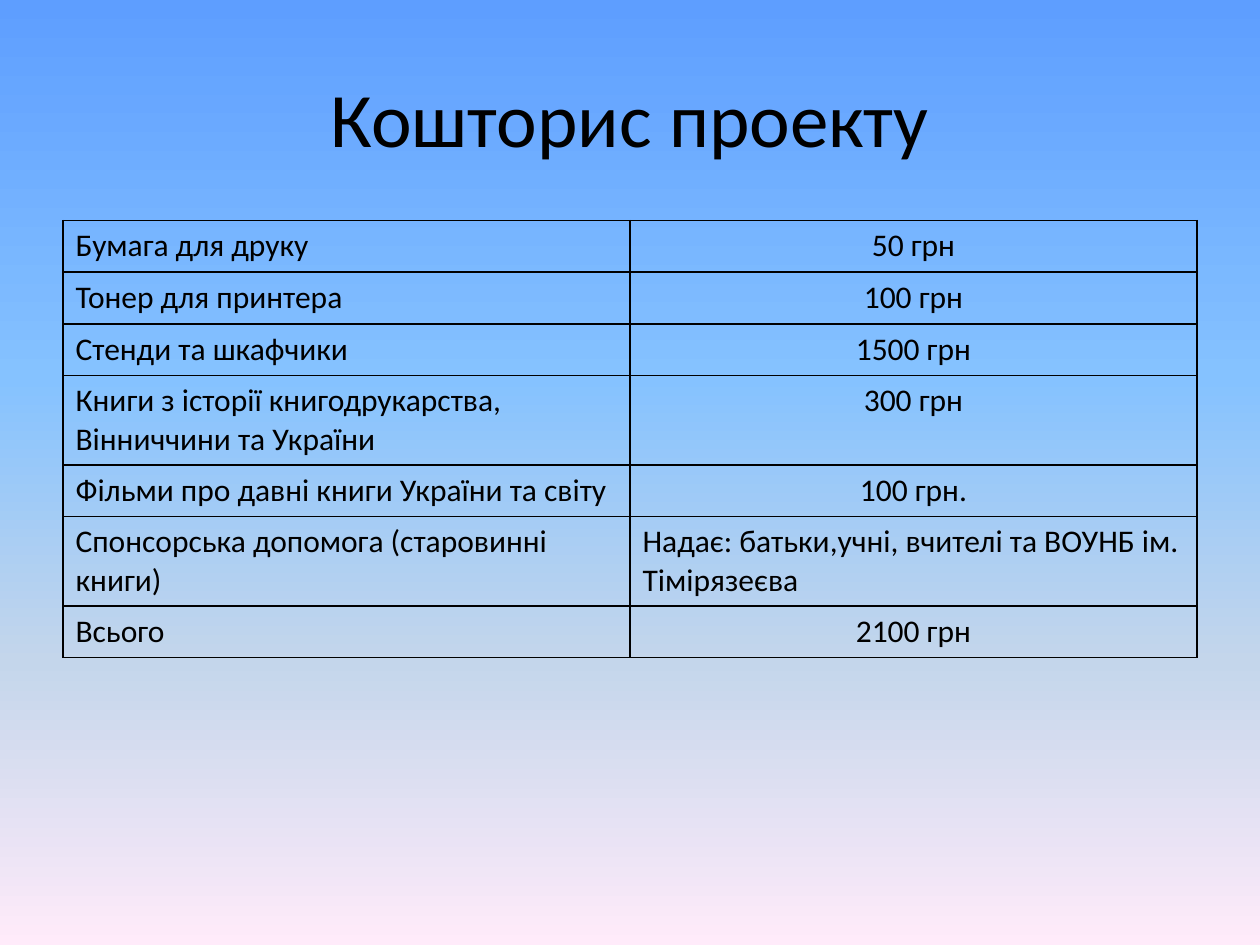
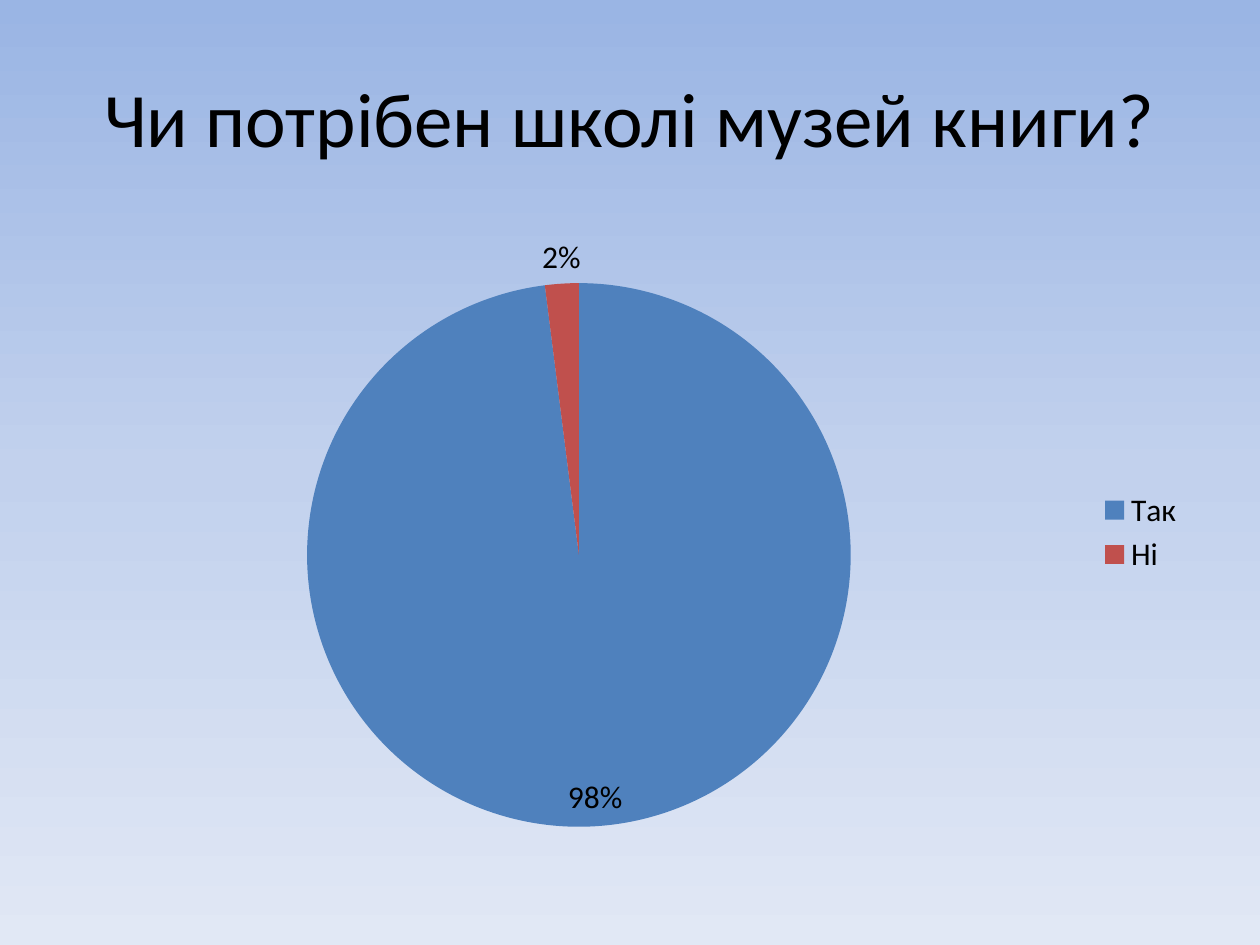
from dataclasses import dataclass

from lxml import etree
from pptx import Presentation
from pptx import util as u
from pptx.chart.data import CategoryChartData
from pptx.dml.color import RGBColor
from pptx.enum import chart as ch
from pptx.enum import text
from pptx.oxml.ns import qn

BUDGET_TITLE = "Кошторис проекту"
BUDGET = [  # item, cost, lines of text in the row
    ("Бумага для друку", "50 грн", 1),
    ("Тонер для принтера", "100 грн", 1),
    ("Стенди та шкафчики", "1500 грн", 1),
    ("Книги з історії книгодрукарства, Вінниччини та України", "300 грн", 2),
    ("Фільми про давні книги України та світу", "100 грн.", 1),
    ("Спонсорська допомога (старовинні книги)",
     "Надає: батьки,учні, вчителі та ВОУНБ ім. Тімірязеєва", 2),
    ("Всього", "2100 грн", 1),
]
SPONSOR_ROW = 5

POLL_TITLE = "Чи потрібен школі музей книги?"
POLL = {"Так": 98, "Ні": 2}


@dataclass(frozen=True)
class Theme:
    font: str = "Calibri"
    ink: str = "000000"
    title_size: int = 44
    body_size: int = 18
    border: float = 1
    slices: tuple = ("4F81BD", "C0504D")
    budget_bg: tuple = ((0, "5E9EFF"), (40, "85C2FF"), (70, "C4D6EB"), (100, "FFEBFA"))
    poll_bg: tuple = ((0, "9AB5E4"), (50, "C2D1ED"), (100, "E1E8F5"))


T = Theme()
W, H = 10, 7.5
MARGIN = W / 20
CONTENT_W = W - 2 * MARGIN
TITLE_TOP, TITLE_H = H * 0.04, H / 6
BODY_TOP, BODY_H = 1.75, H * 0.66
ROW_H = {1: 0.41, 2: 0.71}


def box(top, height):
    """Position and size of a block that spans the content width."""
    return [u.Inches(v) for v in (MARGIN, top, CONTENT_W, height)]


def style_font(font, size):
    font.name, font.size = T.font, u.Pt(size)
    font.color.rgb = RGBColor.from_string(T.ink)


def put_text(tf, words, size=T.body_size, align=text.PP_ALIGN.LEFT):
    p = tf.paragraphs[0]
    p.alignment = align
    r = p.add_run()
    r.text = words
    style_font(r.font, size)


def set_background(slide, stops):
    fill = slide.background.fill
    fill.gradient()
    fill.gradient_angle = 270  # counter-clockwise, so top to bottom
    gs_list = slide.element.find(".//" + qn("a:gsLst"))
    for gs in list(gs_list):
        gs_list.remove(gs)
    for percent, color in stops:
        gs = etree.SubElement(gs_list, qn("a:gs"), pos=str(percent * 1000))
        etree.SubElement(gs, qn("a:srgbClr"), val=color)


def new_slide(prs, title, stops):
    slide = prs.slides.add_slide(prs.slide_layouts[6])
    set_background(slide, stops)
    tf = slide.shapes.add_textbox(*box(TITLE_TOP, TITLE_H)).text_frame
    tf.word_wrap = True
    tf.vertical_anchor = text.MSO_ANCHOR.MIDDLE
    put_text(tf, title, size=T.title_size, align=text.PP_ALIGN.CENTER)
    return slide


def outline(cell):
    """Draw all four borders of a cell."""
    tc_pr = cell._tc.get_or_add_tcPr()
    for i, side in enumerate("LRTB"):
        ln = etree.Element(qn("a:ln" + side), w=str(u.Pt(T.border)))
        fill = etree.SubElement(ln, qn("a:solidFill"))
        etree.SubElement(fill, qn("a:srgbClr"), val=T.ink)
        tc_pr.insert(i, ln)


def add_budget(slide):
    heights = [ROW_H[lines] for *_, lines in BUDGET]
    table = slide.shapes.add_table(len(BUDGET), 2, *box(BODY_TOP, sum(heights))).table
    table.first_row = table.horz_banding = False
    for i, (item, cost, _) in enumerate(BUDGET):
        table.rows[i].height = u.Inches(heights[i])
        cost_align = text.PP_ALIGN.LEFT if i == SPONSOR_ROW else text.PP_ALIGN.CENTER
        for j, (words, align) in enumerate([(item, text.PP_ALIGN.LEFT), (cost, cost_align)]):
            cell = table.cell(i, j)
            cell.fill.background()
            outline(cell)
            put_text(cell.text_frame, words, align=align)


def add_poll(slide):
    data = CategoryChartData()
    data.categories = list(POLL)
    data.add_series("Series 1", list(POLL.values()))
    chart = slide.shapes.add_chart(ch.XL_CHART_TYPE.PIE, *box(BODY_TOP, BODY_H), data).chart
    style_font(chart.font, T.body_size)
    chart.has_title = False
    chart.has_legend = True
    chart.legend.position = ch.XL_LEGEND_POSITION.RIGHT
    chart.legend.include_in_layout = False

    plot = chart.plots[0]
    plot.vary_by_categories = True
    for i, color in enumerate(T.slices):
        fill = plot.series[0].points[i].format.fill
        fill.solid()
        fill.fore_color.rgb = RGBColor.from_string(color)
    plot.has_data_labels = True
    labels = plot.data_labels
    labels.show_percentage, labels.show_value = True, False
    labels.number_format, labels.number_format_is_linked = "0%", False
    labels.position = ch.XL_LABEL_POSITION.BEST_FIT
    style_font(labels.font, T.body_size)


def main():
    prs = Presentation()
    prs.slide_width, prs.slide_height = u.Inches(W), u.Inches(H)
    add_budget(new_slide(prs, BUDGET_TITLE, T.budget_bg))
    add_poll(new_slide(prs, POLL_TITLE, T.poll_bg))
    prs.save("out.pptx")


if __name__ == "__main__":
    main()
